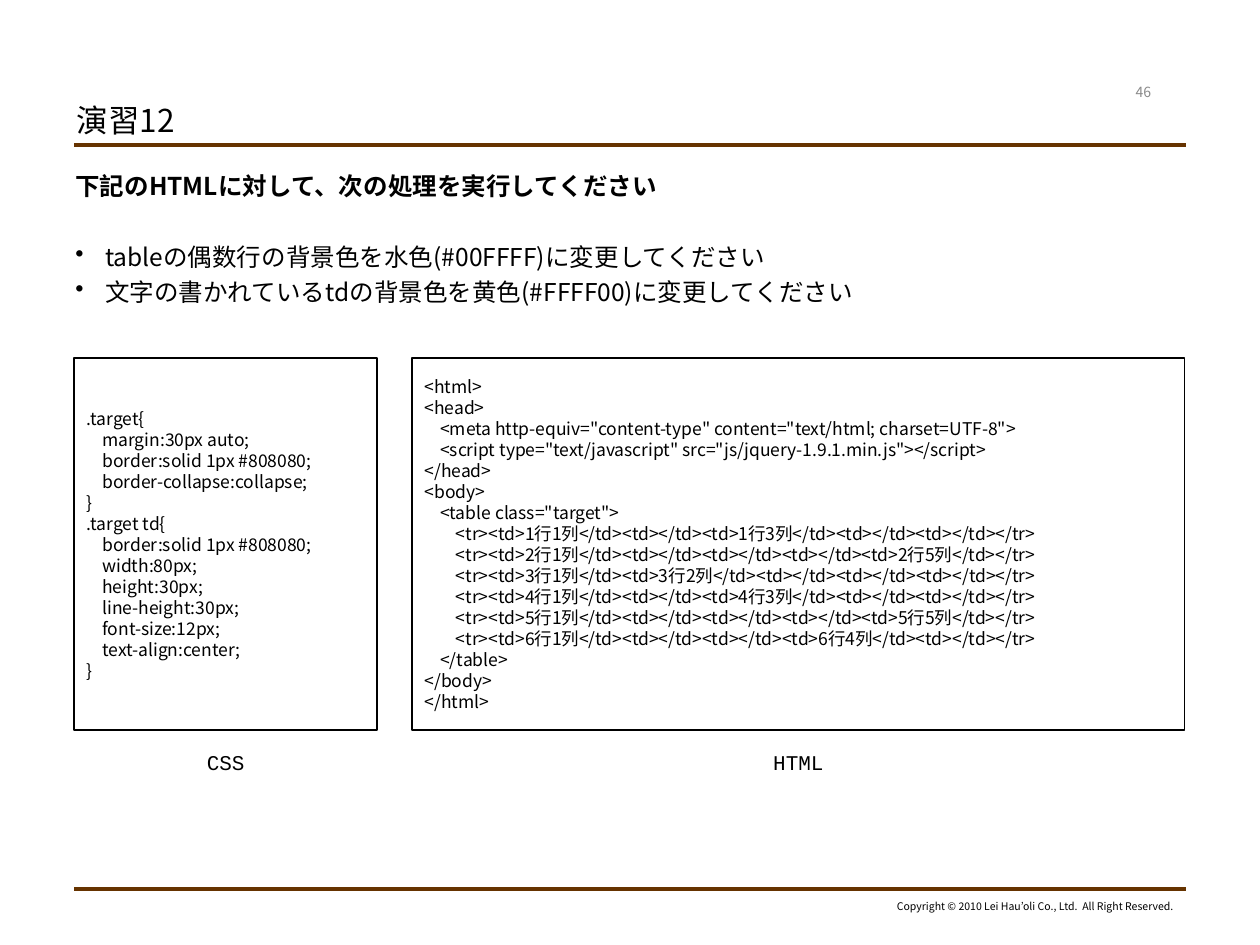
from lxml import etree
from pptx import Presentation
from pptx.dml.color import RGBColor
from pptx.enum.shapes import MSO_CONNECTOR, MSO_SHAPE
from pptx.enum.text import MSO_ANCHOR, PP_ALIGN
from pptx.oxml.ns import qn
from pptx.util import Cm, Pt

LINE = MSO_CONNECTOR.STRAIGHT
RECT = MSO_SHAPE.RECTANGLE
TOP, MID = MSO_ANCHOR.TOP, MSO_ANCHOR.MIDDLE
LEFT, CENTER, RIGHT = PP_ALIGN.LEFT, PP_ALIGN.CENTER, PP_ALIGN.RIGHT

BLACK = RGBColor(0x00, 0x00, 0x00)
BROWN = RGBColor(0x66, 0x33, 0x00)
GRAY = RGBColor(0x89, 0x89, 0x89)
SANS = "Noto Sans CJK JP"
MONO = "Courier New"

EDGE, WIDE = 1.5, 22.4  # left margin and width of the content, in cm

CSS = """.target{
    margin:30px auto;
    border:solid 1px #808080;
    border-collapse:collapse;
}
.target td{
    border:solid 1px #808080;
    width:80px;
    height:30px;
    line-height:30px;
    font-size:12px;
    text-align:center;
}"""

HEAD = """<html>
<head>
    <meta http-equiv="content-type" content="text/html; charset=UTF-8">
    <script type="text/javascript" src="js/jquery-1.9.1.min.js"></script>
</head>
<body>
    <table class="target">"""
TAIL = """    </table>
</body>
</html>"""
FILLED = [3, 5, 2, 3, 5, 4]  # second column with text, row by row


def table_row(row, filled):
    cells = (f"{row}行{col}列" if col in (1, filled) else ""
             for col in range(1, 6))
    return " " * 8 + "<tr>" + "".join(f"<td>{c}</td>" for c in cells) + "</tr>"


def html_code():
    # Only the first row has its third column filled besides the first one.
    rows = [table_row(n, col) for n, col in enumerate(FILLED, 1)]
    return "\n".join([HEAD, *rows, TAIL])


def write(shape, text, size, color=BLACK, face=SANS, align=LEFT,
          anchor=TOP, wrap=True):
    """Fill a shape with text, one paragraph per line, at a fixed pitch."""
    frame = shape.text_frame
    frame.text = text
    frame.word_wrap = wrap
    frame.vertical_anchor = anchor
    for par in frame.paragraphs:
        par.alignment = align
        par.line_spacing = Pt(round(size * 1.2))
        for run in par.runs:
            run.font.size = Pt(size)
            run.font.name = face
            run.font.color.rgb = color
            east = etree.SubElement(run.font._element, qn("a:ea"))
            east.set("typeface", face)
    return frame


def add_text(slide, box, text, size, **style):
    shape = slide.shapes.add_textbox(*map(Cm, box))
    return write(shape, text, size, **style)


def add_rule(slide, left, top, width):
    rule = slide.shapes.add_connector(
        LINE, Cm(left), Cm(top), Cm(left + width), Cm(top))
    rule.line.color.rgb = BROWN
    rule.line.width = Pt(2.25)
    etree.SubElement(rule._element.spPr, qn("a:effectLst"))


def add_header(slide, left, top, width):
    add_rule(slide, left, top + 1.37, width)
    add_text(slide, (left - 0.2, top + 0.36, 14.43, 0.99), "演習12", 18,
             anchor=MID)
    add_text(slide, (left + 20.8, top, 1.5, 0.61), "46", 8, color=GRAY,
             align=CENTER, anchor=MID)


def add_footer(slide, left, top, width):
    add_rule(slide, left, top, width)
    note = "Copyright © 2010 Lei Hau’oli Co., Ltd.  All Right Reserved."
    add_text(slide, (left + width - 6.15, top + 0.1, 6.15, 0.51), note, 6,
             align=RIGHT, wrap=False)


def add_bullet(par):
    props = par._p.get_or_add_pPr()
    props.set("marL", str(Cm(0.6)))
    props.set("indent", str(-Cm(0.6)))
    etree.SubElement(props, qn("a:buChar")).set("char", "•")


def add_task(slide, left, top, width, height):
    lines = ["下記のHTMLに対して、次の処理を実行してください",
             "tableの偶数行の背景色を水色(#00FFFF)に変更してください",
             "文字の書かれているtdの背景色を黄色(#FFFF00)に変更してください"]
    frame = add_text(slide, (left, top, width, height), "\n".join(lines), 14)
    lead, *items = frame.paragraphs
    lead.runs[0].font.bold = True
    for item, gap in zip(items, (23.5, 3.5)):
        item.space_before = Pt(gap)
        add_bullet(item)


def add_panel(slide, left, top, width, height, code, label):
    """Framed code with its label centred below."""
    panel = slide.shapes.add_shape(
        RECT, Cm(left), Cm(top), Cm(width), Cm(height))
    panel.shadow.inherit = False
    panel.fill.background()
    panel.line.color.rgb = BLACK
    panel.line.width = Pt(1)
    write(panel, code, 10, anchor=MID)
    span = 0.6 + 0.26 * len(label)
    box = (left + (width - span) / 2, top + height + 0.28, span, 0.76)
    add_text(slide, box, label, 12, face=MONO, align=CENTER, wrap=False)


def main():
    deck = Presentation()
    deck.slide_width, deck.slide_height = Cm(25.4), Cm(19.05)
    slide = deck.slides.add_slide(deck.slide_layouts[6])
    add_header(slide, EDGE, 1.55, WIDE)
    add_task(slide, EDGE - 0.23, 3.31, 22.86, 14.2)
    add_panel(slide, EDGE, 7.22, 6.1, 7.5, CSS, "CSS")
    add_panel(slide, EDGE + 6.81, 7.22, WIDE - 6.83, 7.5, html_code(), "HTML")
    add_footer(slide, EDGE, 17.93, WIDE)
    deck.save("out.pptx")


if __name__ == "__main__":
    main()
